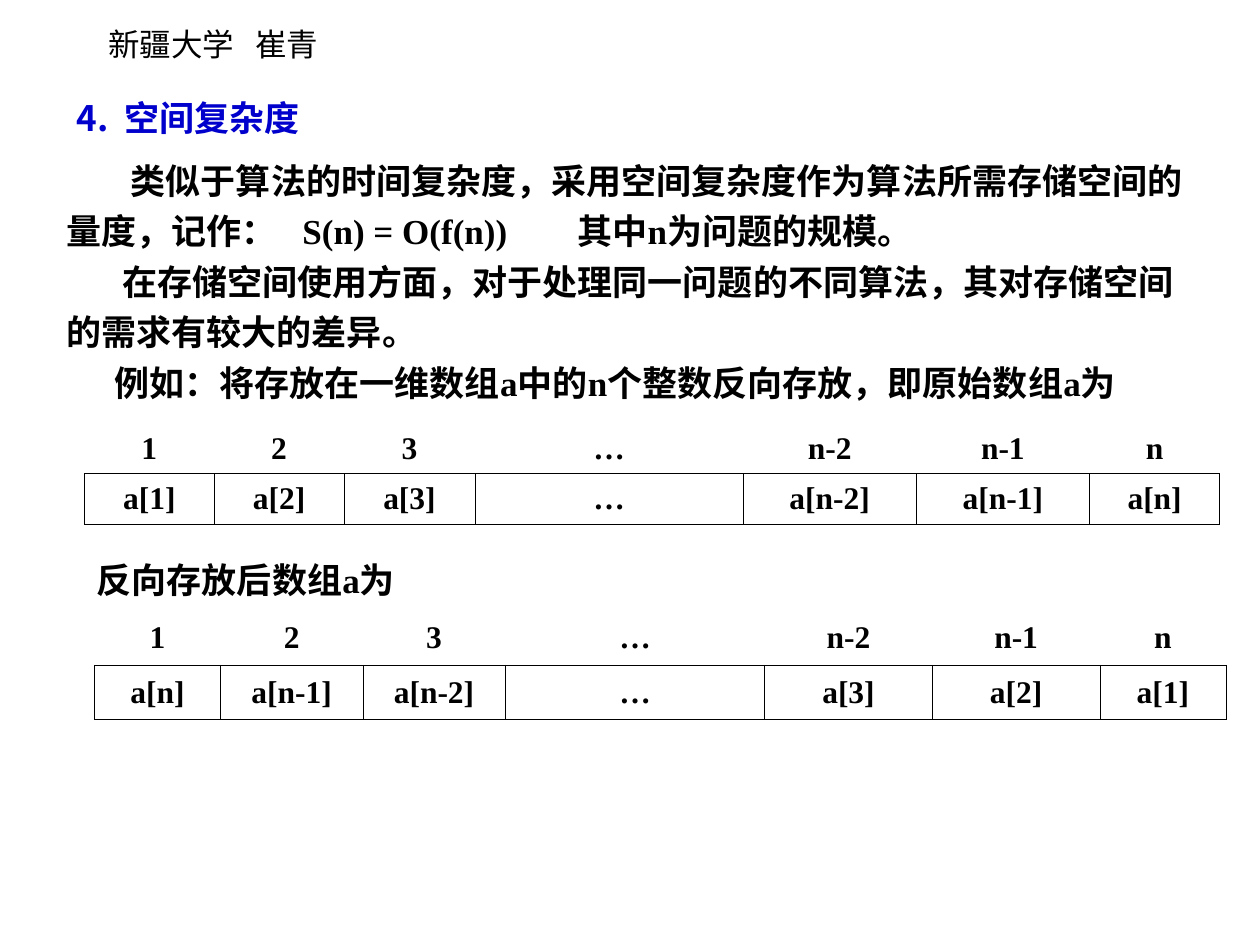
import pptx
import pptx.dml.color
import pptx.enum.text
import pptx.oxml
import pptx.oxml.ns
import pptx.util
from pptx.util import Inches

BLACK = pptx.dml.color.RGBColor(0, 0, 0)
BLUE = pptx.dml.color.RGBColor(0, 0, 0xCC)
SERIF = "Times New Roman"
SANS = "Noto Sans CJK SC"
NO_STYLE = "{2D5ABB26-0587-4C30-8999-92F81FD0307C}"
NS = pptx.oxml.ns.nsdecls("a")
qn = pptx.oxml.ns.qn


def add_text(p, text, size, latin, east_asian, color=BLACK, bold=True, spacing=0):
    """Add a run; spacing is the extra width after each character, in points."""
    r = p.add_run()
    r.text = text
    r.font.size = pptx.util.Pt(size)
    r.font.bold = bold
    r.font.color.rgb = color
    r.font.name = latin
    rPr = r._r.get_or_add_rPr()
    rPr.find(qn("a:latin")).addnext(
        pptx.oxml.parse_xml(f'<a:ea {NS} typeface="{east_asian}"/>'))
    if spacing:
        rPr.set("spc", str(spacing * 100))


def set_indent(p, first, margin=0):
    """Set the first-line offset and left margin, in inches."""
    pPr = p._p.get_or_add_pPr()
    pPr.set("marL", str(Inches(margin)))
    pPr.set("indent", str(Inches(first)))


prs = pptx.Presentation()
prs.slide_width = Inches(10)
prs.slide_height = Inches(7.5)
s = prs.slides.add_slide(prs.slide_layouts[6])

# Header
tf = s.shapes.add_textbox(Inches(0.76), Inches(0.15), Inches(2), Inches(0.4)).text_frame
tf.word_wrap = True
for text, spacing in [("新疆大学", 0), (" ", 8), ("崔青", 0)]:
    add_text(tf.paragraphs[0], text, 18, SANS, SANS, bold=False, spacing=spacing)

# Section title
tf = s.shapes.add_textbox(Inches(0.51), Inches(0.68), Inches(4.17), Inches(0.47)).text_frame
tf.word_wrap = True
p = tf.paragraphs[0]
set_indent(p, -0.38, margin=0.38)
p.line_spacing = 1.1
add_text(p, "4.\t空间复杂度", 20, SANS, SANS, BLUE)

# Explanation
tf = s.shapes.add_textbox(Inches(0.43), Inches(0.95), Inches(9.21), Inches(2.5)).text_frame
tf.word_wrap = True
tf.vertical_anchor = pptx.enum.text.MSO_ANCHOR.MIDDLE
paragraphs = [
    (0.51, [("类似于算法的时间复杂度，采用空间复杂度作为算法所需存储空间的量度，记作：", 0),
            (" ", 10), ("S(n) = O(f(n))", 0), (" ", 35), ("其中n为问题的规模。", 0)]),
    (0.44, [("在存储空间使用方面，对于处理同一问题的不同算法，其对存储空间的需求有较大的差异。", 0)]),
    (0.38, [("例如：将存放在一维数组a中的n个整数反向存放，即原始数组a为", 0)]),
]
for i, (first, runs) in enumerate(paragraphs):
    p = tf.add_paragraph() if i else tf.paragraphs[0]
    set_indent(p, first)
    p.line_spacing = 1.2
    for text, spacing in runs:
        add_text(p, text, 20, SERIF, SANS, spacing=spacing)

# Caption of the reversed array
tf = s.shapes.add_textbox(Inches(0.67), Inches(4.38), Inches(9.06), Inches(0.44)).text_frame
tf.word_wrap = True
add_text(tf.paragraphs[0], "反向存放后数组a为", 20, SERIF, SANS)

# Arrays: index row above, bordered element row below
indices = ["1", "2", "3", "…", "n-2", "n-1", "n"]
elements = [i if i == "…" else f"a[{i}]" for i in indices]
arrays = [
    (0.67, 3.36, 0.4, [1.03, 1.03, 1.04, 2.13, 1.37, 1.38, 1.03], elements),
    (0.75, 4.85, 0.43, [1, 1.13, 1.13, 2.06, 1.33, 1.33, 1], elements[::-1]),
]
for left, top, row_height, widths, values in arrays:
    frame = s.shapes.add_table(2, len(widths), Inches(left), Inches(top),
                               Inches(sum(widths)), Inches(2 * row_height))
    table = frame.table
    table.first_row = False
    table.horz_banding = False
    table._tbl.tblPr.find(qn("a:tableStyleId")).text = NO_STYLE
    for column, width in zip(table.columns, widths):
        column.width = Inches(width)
    for row, texts, sides in zip(table.rows, (indices, values), ("B", "LRTB")):
        row.height = Inches(row_height)
        for cell, text in zip(row.cells, texts):
            cell.vertical_anchor = pptx.enum.text.MSO_ANCHOR.MIDDLE
            tcPr = cell._tc.get_or_add_tcPr()
            for side in sides:
                tcPr.append(pptx.oxml.parse_xml(
                    f'<a:ln{side} {NS} w="{pptx.util.Pt(0.45)}"><a:solidFill>'
                    f'<a:srgbClr val="{BLACK}"/></a:solidFill></a:ln{side}>'))
            cell.fill.background()
            p = cell.text_frame.paragraphs[0]
            p.alignment = pptx.enum.text.PP_ALIGN.CENTER
            add_text(p, text, 18, SERIF, SERIF)

prs.save("out.pptx")
